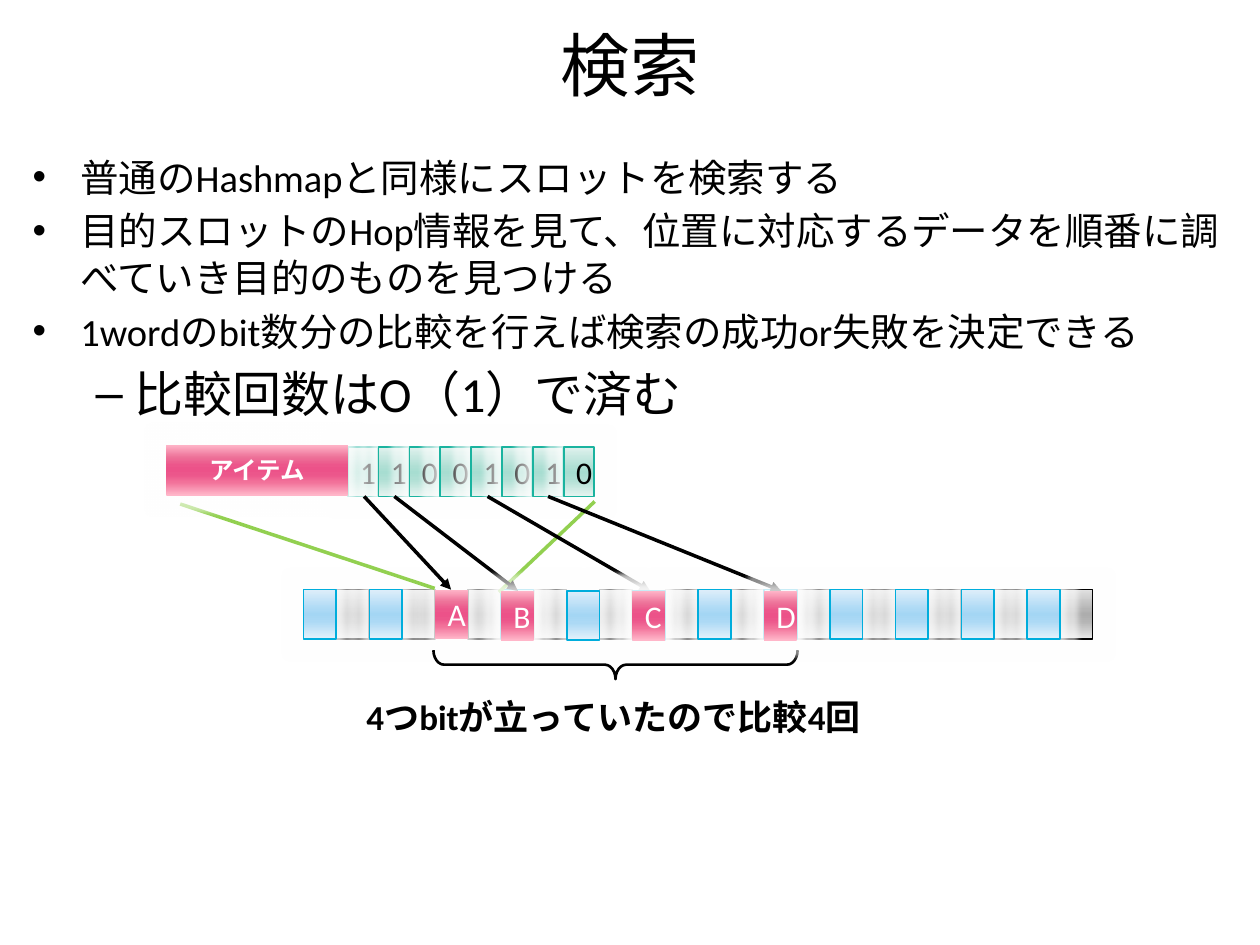
from typing import NamedTuple

import lxml.etree
import pptx
import pptx.dml.color
import pptx.enum.shapes
import pptx.enum.text
import pptx.oxml
import pptx.oxml.ns
import pptx.util

Inches, Pt = pptx.util.Inches, pptx.util.Pt
SHAPES = pptx.enum.shapes.MSO_SHAPE
CENTER = pptx.enum.text.PP_ALIGN.CENTER
MIDDLE = pptx.enum.text.MSO_ANCHOR.MIDDLE
qn = pptx.oxml.ns.qn
NS = 'xmlns:a="http://schemas.openxmlformats.org/drawingml/2006/main"'


class CellStyle(NamedTuple):
    stops: dict[int, str]
    line: str | None
    text: str


class Link(NamedTuple):
    start: tuple[float, float]
    end: tuple[float, float]


class Point(NamedTuple):
    text: str
    size: float
    bullet: str
    left: float
    hanging: float
    before: float


GRAY = CellStyle({0: "E1E1E1", 40: "B4B4B4", 50: "ADADAD", 65: "B4B4B4",
                  100: "E7E7E7"}, "000000", "000000")
BLUE = CellStyle({0: "DEEEFA", 40: "ACD9F5", 50: "A4D6F4", 65: "ACD9F5",
                  100: "E5F2FB"}, "00ADDC", "000000")
GREEN = CellStyle({0: "DFF1ED", 40: "AFDFD4", 50: "A7DDD1", 65: "AFDFD4",
                   100: "E6F4F0"}, "1AB39F", "000000")
PINK = CellStyle({0: "FFB6C9", 25: "ED7198", 40: "EC568B", 50: "EC5289",
                  60: "EC568B", 75: "F2729A", 100: "FFB6C9"}, None, "FFFFFF")

SLOT_LEFT, SLOT_TOP, SLOT_PITCH, SLOT_COUNT = 2.41, 4.68, 0.261, 24
BIT_LEFT, BIT_TOP, BIT_PITCH = 2.76, 3.55, 0.245
BITS = "11001010"
CELL_HEIGHT = 0.39


def rgb(color: str) -> pptx.dml.color.RGBColor:
    return pptx.dml.color.RGBColor.from_string(color)


def format_text(paragraph, size: float, color: str = "000000", bold: bool = False) -> None:
    paragraph.font.name = "Calibri"
    paragraph.font.size = Pt(size)
    paragraph.font.bold = bold
    paragraph.font.color.rgb = rgb(color)


def add_cell(left: float, top: float, width: float, style: CellStyle,
             text: str = "", size: float = 18, bold: bool = False,
             height: float = CELL_HEIGHT) -> None:
    cell = slide.shapes.add_shape(SHAPES.RECTANGLE, Inches(left), Inches(top),
                                  Inches(width), Inches(height))
    # Vertical gradient with a soft white halo over the neighbours
    cell.fill.gradient()
    cell.fill.gradient_angle = 270
    stop_list = cell.fill._fill._gradFill.find(qn("a:gsLst"))
    for stop in list(stop_list):
        stop_list.remove(stop)
    for position, color in style.stops.items():
        stop_list.append(pptx.oxml.parse_xml(
            f'<a:gs {NS} pos="{position * 1000}"><a:srgbClr val="{color}"/></a:gs>'))
    if style.line:
        cell.line.color.rgb = rgb(style.line)
        cell.line.width = Pt(0.94)
    else:
        cell.line.fill.background()
    cell.shadow.inherit = False
    cell._element.spPr.find(qn("a:effectLst")).append(pptx.oxml.parse_xml(
        f'<a:glow {NS} rad="{Inches(0.09)}"><a:srgbClr val="FFFFFF">'
        '<a:alpha val="55000"/></a:srgbClr></a:glow>'))
    if text:
        cell.text_frame.vertical_anchor = MIDDLE
        label = cell.text_frame.paragraphs[0]
        label.text = text
        label.alignment = CENTER
        format_text(label, size, style.text, bold)


def add_slot(index: int, style: CellStyle, text: str = "", top: float = SLOT_TOP) -> None:
    add_cell(SLOT_LEFT + index * SLOT_PITCH, top, 0.26, style, text)


def add_link(link: Link, color: str, arrow: bool = False) -> None:
    line = slide.shapes.add_connector(
        pptx.enum.shapes.MSO_CONNECTOR.STRAIGHT,
        *(Inches(value) for value in link.start + link.end))
    line.line.color.rgb = rgb(color)
    line.line.width = Pt(2)
    if arrow:
        lxml.etree.SubElement(line.line._get_or_add_ln(), qn("a:tailEnd"), type="triangle")
    lxml.etree.SubElement(line._element.spPr, qn("a:effectLst"))


def add_point(paragraph, point: Point) -> None:
    paragraph.text = point.text
    properties = paragraph._p.get_or_add_pPr()
    properties.set("marL", str(Inches(point.left)))
    properties.set("indent", str(Inches(-point.hanging)))
    lxml.etree.SubElement(properties, qn("a:buFont"), typeface="Arial")
    lxml.etree.SubElement(properties, qn("a:buChar"), char=point.bullet)
    if point.before:
        paragraph.space_before = Pt(point.before)
    format_text(paragraph, point.size)


presentation = pptx.Presentation()
presentation.slide_width, presentation.slide_height = Inches(10), Inches(7.5)
slide = presentation.slides.add_slide(presentation.slide_layouts[5])

# Title
title = slide.shapes.title
title.left, title.top, title.width, title.height = map(Inches, (0.5, 0.16, 9, 0.7))
title.text_frame.vertical_anchor = MIDDLE
heading = title.text_frame.paragraphs[0]
heading.text = "検索"
heading.alignment = CENTER
format_text(heading, 39.6)

# Explanation
points = [
    Point("普通のHashmapと同様にスロットを検索する", 22, "•", 0.38, 0.38, 0),
    Point("目的スロットのHop情報を見て、位置に対応するデータを順番に調べていき目的のものを見つける",
          22, "•", 0.38, 0.38, 4.4),
    Point("1wordのbit数分の比較を行えば検索の成功or失敗を決定できる", 22, "•", 0.38, 0.38, 4.4),
    Point("比較回数はO（1）で済む", 28, "–", 0.81, 0.31, 5.6),
]
explanation = slide.shapes.add_textbox(*map(Inches, (0.16, 1.17, 9.69, 2.27))).text_frame
explanation.word_wrap = True
for number, point in enumerate(points):
    add_point(explanation.add_paragraph() if number else explanation.paragraphs[0], point)
explanation.paragraphs[-1].level = 1

# Slots: gray at odd places, blue at even ones
for index in range(1, SLOT_COUNT, 2):
    add_slot(index, GRAY)
for index in range(0, SLOT_COUNT, 2):
    if index == 4:
        add_slot(index, PINK, "A")
    elif index not in (8, 10):
        add_slot(index, BLUE)

# Hop bits
for index, bit in enumerate(BITS):
    add_cell(BIT_LEFT + index * BIT_PITCH, BIT_TOP, 0.24, GREEN, bit)

# Enlarged slot and its item
for edge in (Link((1.43, 4), (3.45, 4.67)), Link((4.72, 3.98), (3.96, 4.7))):
    add_link(edge, "92D050")
add_cell(1.32, 3.53, 1.44, PINK, "アイテム", 14, True, height=0.4)

# Arrows from each set bit to its slot
for hop in (Link((3.13, 3.94), (4.11, 4.69)), Link((4.35, 3.94), (6.2, 4.69)),
            Link((3.87, 3.94), (5.16, 4.69)), Link((2.89, 3.94), (3.58, 4.68))):
    add_link(hop, "000000", arrow=True)

# Brace and result
brace = slide.shapes.add_shape(SHAPES.LEFT_BRACE, *map(Inches, (4.77, 3.83, 0.23, 2.89)))
brace.rotation = 270
brace.adjustments[0] = 0.368
brace.fill.background()
brace.line.color.rgb = rgb("000000")
brace.line.width = Pt(1.5)
brace.shadow.inherit = False
result = slide.shapes.add_textbox(*map(Inches, (2.81, 5.47, 5.09, 0.55))).text_frame
result.word_wrap = True
result.paragraphs[0].text = "4つbitが立っていたので比較4回"
format_text(result.paragraphs[0], 20, bold=True)

# Slots in front of the arrows
FRONT_TOP = 4.69
for index in (8, 10):
    add_slot(index, BLUE, top=FRONT_TOP)
for index, name in {6: "B", 10: "C", 14: "D"}.items():
    add_slot(index, PINK, name, FRONT_TOP)

presentation.save("out.pptx")
